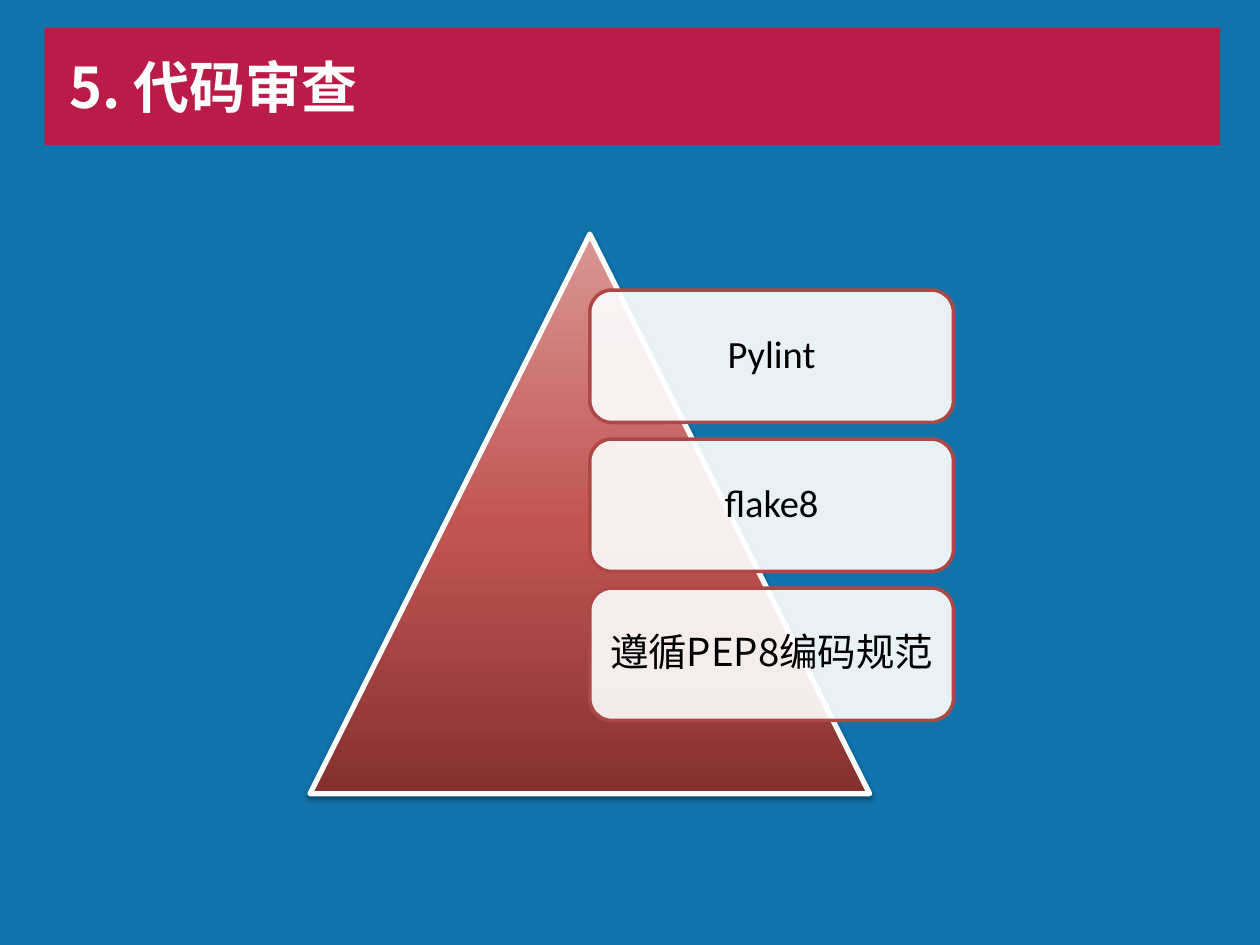
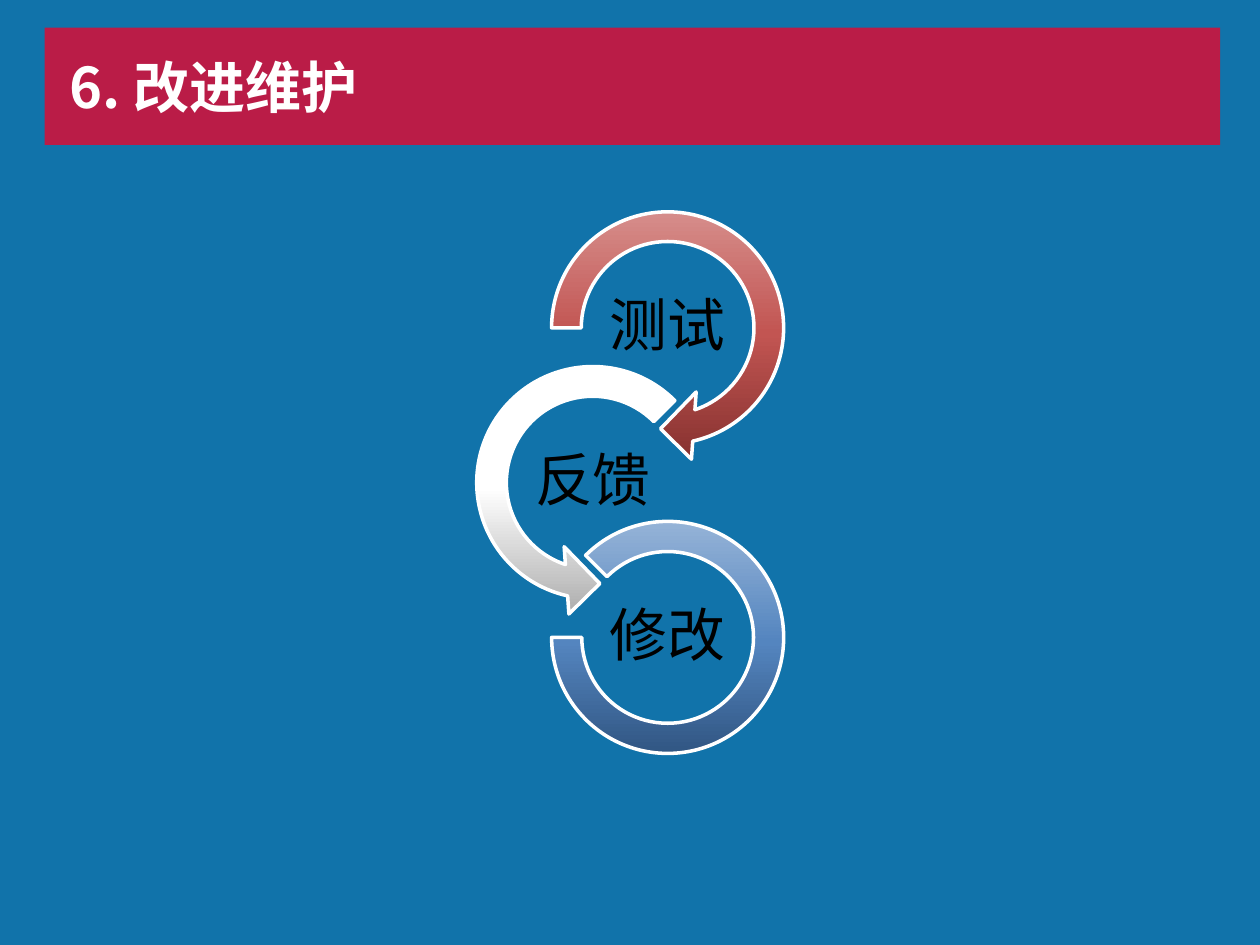
from lxml.etree import Element, SubElement
from pptx import Presentation
from pptx.dml.color import RGBColor
from pptx.enum.shapes import MSO_SHAPE
from pptx.enum.text import MSO_ANCHOR, PP_ALIGN
from pptx.oxml.ns import qn
from pptx.util import Cm, Pt

RECT = MSO_SHAPE.RECTANGLE
ROUND = MSO_SHAPE.ROUNDED_RECTANGLE
PEAK = MSO_SHAPE.ISOSCELES_TRIANGLE
RIGHT = MSO_SHAPE.CIRCULAR_ARROW
LEFT = MSO_SHAPE.LEFT_CIRCULAR_ARROW
ARC = MSO_SHAPE.BLOCK_ARC
MIDDLE = MSO_ANCHOR.MIDDLE
CENTER = PP_ALIGN.CENTER
START = PP_ALIGN.LEFT

WIDE, HIGH = 25.4, 19.05
BLUE, CRIMSON, RUST = "1173AA", "BA1C47", "AE4845"
WHITE, BLACK = "FFFFFF", "000000"
REDS = ("85312F", "C25552", "D99694")
GREYS = ("ABABAB", WHITE, WHITE)
BLUES = ("315683", "5485BF", "95B3D7")
LATIN, HAN = "Calibri", "Noto Sans CJK SC"


def paint(target, color):
    target.rgb = RGBColor.from_string(color)


def add_shape(slide, kind, box, fill=None, line=None, weight=0):
    shape = slide.shapes.add_shape(kind, *map(Cm, box))
    shape.shadow.inherit = False
    if fill:
        shape.fill.solid()
        paint(shape.fill.fore_color, fill)
    if line:
        paint(shape.line.color, line)
        shape.line.width = Pt(weight)
    else:
        shape.line.fill.background()
    return shape


def blend(shape, colors):
    grad = Element(qn("a:gradFill"), rotWithShape="1")
    stops = SubElement(grad, qn("a:gsLst"))
    for spot, color in zip((0, 48, 100), colors):
        stop = SubElement(stops, qn("a:gs"), pos=str(spot * 1000))
        SubElement(stop, qn("a:srgbClr"), val=color)
    SubElement(grad, qn("a:lin"), ang=str(270 * 60000), scaled="0")
    shape._element.spPr.find(qn("a:prstGeom")).addnext(grad)


def fade(shape, percent):
    color = shape._element.spPr.find(qn("a:solidFill"))[0]
    SubElement(color, qn("a:alpha"), val=str(percent * 1000))


def cast(shape):
    effects = shape._element.spPr.find(qn("a:effectLst"))
    shade = SubElement(effects, qn("a:outerShdw"), blurRad=str(Pt(3.1)),
                       dist=str(Pt(1.6)), dir=str(90 * 60000), rotWithShape="0")
    color = SubElement(shade, qn("a:srgbClr"), val=BLACK)
    SubElement(color, qn("a:alpha"), val="38000")


def write(shape, text, size, color, font, inset, align=CENTER, bold=False):
    frame = shape.text_frame
    frame.word_wrap = True
    frame.vertical_anchor = MIDDLE
    frame.margin_left = frame.margin_right = Cm(inset)
    frame.margin_top = frame.margin_bottom = Cm(min(inset, 0.23))
    para = frame.paragraphs[0]
    para.alignment = align
    if align == CENTER:
        para.line_spacing = 0.9
    run = para.add_run()
    run.text = text
    run.font.size = Pt(size)
    run.font.bold = bold
    run.font.name = font
    paint(run.font.color, color)
    SubElement(run._r.get_or_add_rPr(), qn("a:ea"), typeface=HAN)


def add_page(deck, title):
    slide = deck.slides.add_slide(deck.slide_layouts[6])
    add_shape(slide, RECT, (0, 0, WIDE, HIGH), BLUE)
    band = add_shape(slide, RECT, (0.9, 0.56, 23.7, 2.36), CRIMSON)
    write(band, title, 32, WHITE, HAN, 0.5, START, True)
    return slide


def add_peak(slide, left, top, side, items):
    peak = add_shape(slide, PEAK, (left, top, side, side), line=WHITE, weight=3)
    blend(peak, REDS)
    cast(peak)
    high = side * 0.71 / 3
    for row, (text, font) in enumerate(items):
        y = top + side / 10 + row * high * 9 / 8
        card = add_shape(slide, ROUND, (left + side / 2, y, side * 0.65, high),
                         WHITE, RUST, 2)
        fade(card, 90)
        write(card, text, 22, BLACK, font, 0.23)


def add_loop(slide, left, top, size, items):
    swing, step, wide, high = 1.51, 3.12, 3.02, 1.5
    for row, (text, kind, scale, turns, colors) in enumerate(items):
        x = left + size / 2 + (0 if row % 2 else swing)
        y = top + size / 2 + row * step
        span = size * scale
        ring = add_shape(slide, kind, (x - span / 2, y - span / 2, span, span),
                         line=WHITE, weight=2)
        for spot, turn in enumerate(turns):
            ring.adjustments[spot] = turn
        blend(ring, colors)
        label = slide.shapes.add_textbox(
            *map(Cm, (x - wide / 2, y - high / 2, wide, high)))
        write(label, text, 33, BLACK, LATIN, 0.05)


def main():
    deck = Presentation()
    deck.slide_width, deck.slide_height = Cm(WIDE), Cm(HIGH)
    add_peak(add_page(deck, "5. 代码审查"), 6.25, 4.72, 11.28, (
        ("Pylint", LATIN),
        ("flake8", LATIN),
        ("遵循PEP8编码规范", HAN),
    ))
    add_loop(add_page(deck, "6. 改进维护"), 9.23, 3.89, 5.44, (
        ("测试", RIGHT, 1, (0.11, 11.42, 45, 108, 1 / 8), REDS),
        ("反馈", LEFT, 1, (0.11, 11.42, 63, 189, 1 / 8), GREYS),
        ("修改", ARC, 0.86, (135, 108, 0.13), BLUES),
    ))
    deck.save("out.pptx")


if __name__ == "__main__":
    main()
